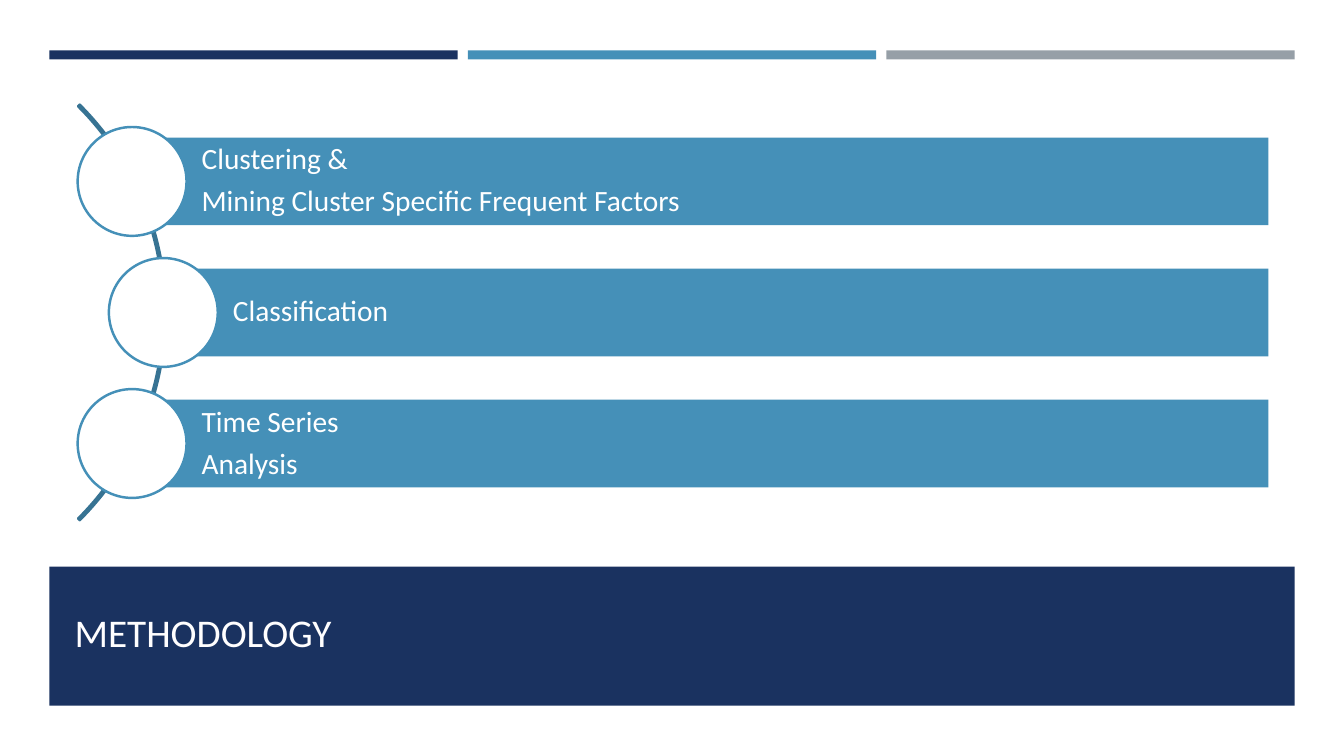
"""Build the Methodology slide: three steps along an arc."""
from pptx import Presentation
from pptx.dml.color import RGBColor
from pptx.enum.shapes import MSO_SHAPE
from pptx.enum.text import MSO_ANCHOR, PP_ALIGN
from pptx.util import Inches, Pt

RECT, OVAL, ARC = MSO_SHAPE.RECTANGLE, MSO_SHAPE.OVAL, MSO_SHAPE.BLOCK_ARC
MIDDLE, BOTTOM, LEFT = MSO_ANCHOR.MIDDLE, MSO_ANCHOR.BOTTOM, PP_ALIGN.LEFT

TITLE = "METHODOLOGY"
STEPS = [
    (1.31, ["Clustering &", "Mining Cluster Specific Frequent Factors"]),
    (1.62, ["Classification"]),
    (1.31, ["Time Series", "Analysis"]),
]
COLORS = {"navy": "1A3260", "blue": "4590B8", "gray": "969FA7",
          "arc": "377393", "white": "FFFFFF", "title": "FFFEFF"}
STRIPES = ["navy", "blue", "gray"]
FONT = "Calibri"
EDGE, WIDTH = 0.49, 12.35
STRIPE, GAP = 4.05, 0.1
MID, PITCH = 3.1, 1.3
BAR, RIGHT, DOT = 0.87, 12.58, 1.08
ROUND, HUB = 5.83, -1.27


def color(name):
    return RGBColor.from_string(COLORS[name])


def draw(slide, kind, left, top, width, height, fill=None, line=None):
    shape = slide.shapes.add_shape(
        kind, Inches(left), Inches(top), Inches(width), Inches(height))
    shape.shadow.inherit = False
    if fill:
        shape.fill.solid()
        shape.fill.fore_color.rgb = color(fill)
    else:
        shape.fill.background()
    if line:
        shape.line.color.rgb = color(line)
        shape.line.width = Pt(1.75)
    else:
        shape.line.fill.background()
    return shape


def write(shape, lines, size, ink="white", anchor=MIDDLE, pads=(0.1, 0.05, 0.1, 0.05),
          space=1, after=0):
    frame = shape.text_frame
    frame.word_wrap = True
    frame.vertical_anchor = anchor
    (frame.margin_left, frame.margin_top,
     frame.margin_right, frame.margin_bottom) = map(Inches, pads)
    frame.text = "\n".join(lines)
    for para in frame.paragraphs:
        para.alignment = LEFT
        para.line_spacing = space
        para.space_after = Pt(after)
        para.font.name = FONT
        para.font.size = Pt(size)
        para.font.color.rgb = color(ink)


def main():
    deck = Presentation()
    deck.slide_width, deck.slide_height = Inches(13.33), Inches(7.5)
    slide = deck.slides.add_slide(deck.slide_layouts[5])

    for i, fill in enumerate(STRIPES):
        draw(slide, RECT, EDGE + i * (STRIPE + GAP), 0.5, STRIPE, 0.1, fill)
    draw(slide, RECT, 0, 0.59, 13.33, 6.91, "white")
    draw(slide, RECT, EDGE, 5.62, WIDTH, 1.38, "navy")

    title = slide.shapes.title
    title.left, title.top = Inches(0.64), Inches(5.76)
    title.width, title.height = Inches(12.06), Inches(0.79)
    write(title, [TITLE], 28, ink="title", anchor=BOTTOM)
    slide.shapes._spTree.append(title._element)

    arc = draw(slide, ARC, HUB - ROUND / 2, MID - ROUND / 2, ROUND, ROUND, line="arc")
    for i, value in enumerate((189, 27, 0.004)):
        arc.adjustments[i] = value

    for i, (left, lines) in enumerate(STEPS):
        mid = MID + (i - 1) * PITCH
        bar = draw(slide, RECT, left, mid - BAR / 2, RIGHT - left, BAR, "blue")
        write(bar, lines, 21, pads=(0.69, 0.06, 0.06, 0.06), space=0.9, after=7.35)
        draw(slide, OVAL, left - DOT / 2, mid - DOT / 2, DOT, DOT, "white", "blue")

    deck.save("out.pptx")


if __name__ == "__main__":
    main()
